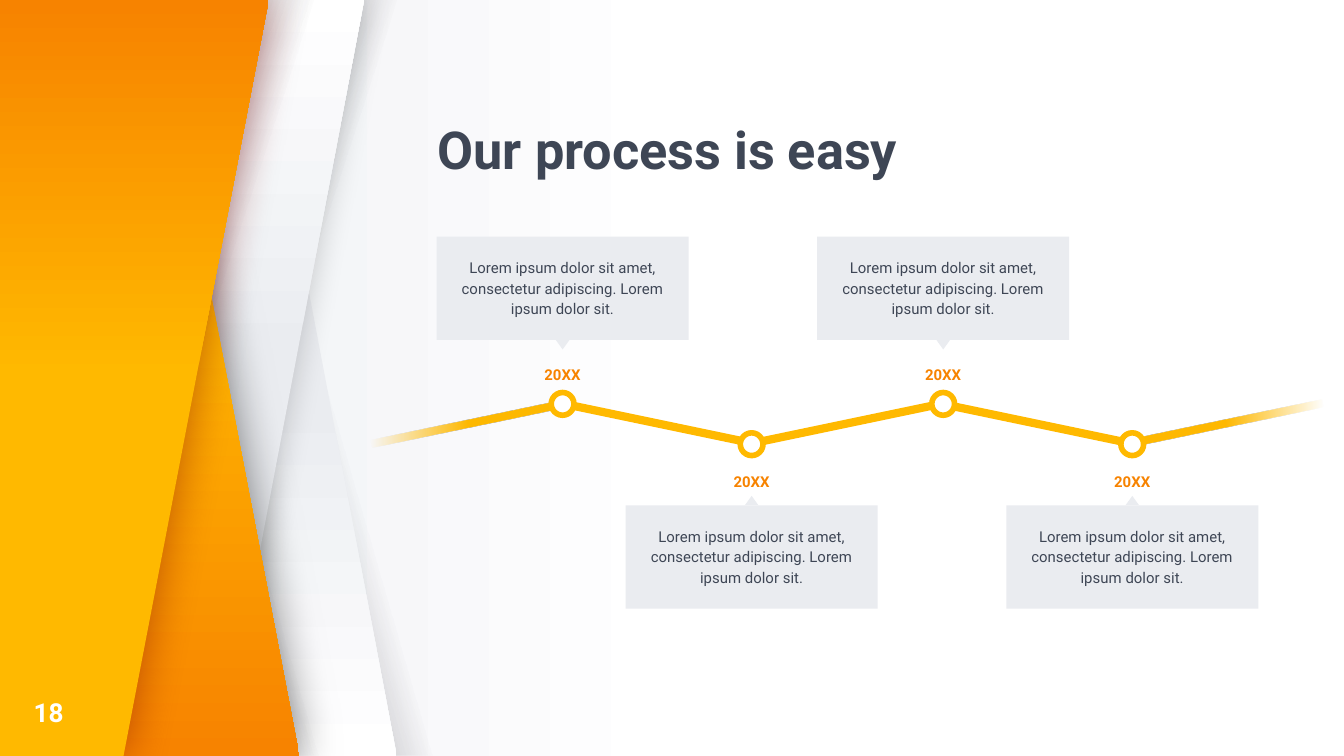
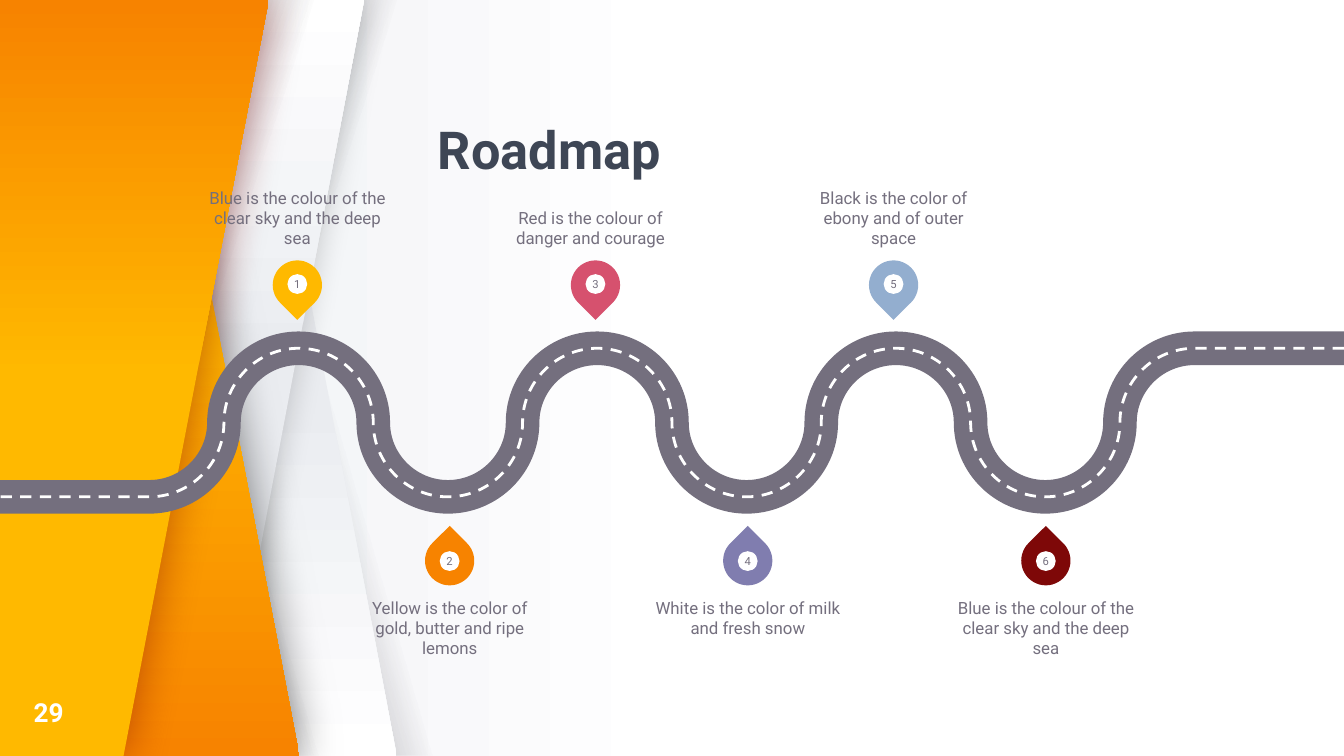
"""Build a timeline slide and a roadmap slide that share one folded-paper design."""
import math
from dataclasses import dataclass
from typing import Optional

from lxml import etree
from pptx import Presentation
from pptx import util as u
from pptx.dml import color as c
from pptx.enum import dml, shapes, text
from pptx.oxml import ns

WIDTH, HEIGHT = 720, 405
FONT = "Roboto"
WHITE, MIST, INK, SHADE = "FFFFFF", "EAECF0", "3E4655", "27252C"
AMBER, ORANGE, MAROON, ASPHALT = "FFB900", "F78300", "7E0808", "746F7E"
BLACK = "000000"
SHAPE = shapes.MSO_SHAPE
ALIGN = text.PP_ALIGN
ANCHOR = text.MSO_ANCHOR

Point = tuple[float, float]


@dataclass(frozen=True)
class Stop:
    position: float
    color: str
    alpha: int = 100


@dataclass(frozen=True)
class Gradient:
    first: Stop
    last: Stop
    angle: int


@dataclass(frozen=True)
class Glow:
    color: str
    alpha: int
    blur: float


@dataclass(frozen=True)
class Panel:
    left: float
    flipped: bool
    slant: float
    gradient: Gradient
    glow: Optional[Glow] = None
    outline: tuple[Point, ...] = ()


@dataclass(frozen=True)
class TextStyle:
    size: float
    color: str
    bold: bool = False
    align: ALIGN = ALIGN.CENTER
    anchor: ANCHOR = ANCHOR.TOP
    spacing: Optional[float] = None
    inset: float = 0


@dataclass(frozen=True)
class EventRow:
    center: float
    node: float
    date: float
    card: float
    pointer: float
    rotation: int


@dataclass(frozen=True)
class Milestone:
    color: str
    caption: str
    shift: float = 0


@dataclass(frozen=True)
class PinRow:
    center: float
    pin: float
    hole: float
    rotation: int
    caption: float
    anchor: ANCHOR


TITLE = TextStyle(28, INK, True, ALIGN.LEFT, ANCHOR.BOTTOM, 0.9)
PAGE_NUMBER = TextStyle(14, WHITE, True, ALIGN.LEFT, ANCHOR.MIDDLE)
DATE = TextStyle(8, ORANGE, True, spacing=1.15, inset=7.2)
CARD = TextStyle(8, INK, spacing=1.15, inset=7.2)
PIN_NUMBER = TextStyle(6, ASPHALT, anchor=ANCHOR.MIDDLE)

BACKGROUND = Gradient(Stop(50, WHITE), Stop(100, MIST), 180)
SHADE_RIGHT = Gradient(Stop(45, SHADE, 0), Stop(100, INK), 16)
SHADE_LEFT = Gradient(Stop(44, SHADE, 0), Stop(100, INK), 198)
PAPER_DOWN = Gradient(Stop(53, MIST), Stop(100, WHITE), 90)
PAPER_UP = Gradient(Stop(53, MIST), Stop(100, WHITE), 270)
ORANGE_DOWN = Gradient(Stop(37, AMBER), Stop(100, ORANGE), 90)
ORANGE_UP = Gradient(Stop(50, AMBER), Stop(100, ORANGE), 270)
FADE_LEFT = Gradient(Stop(50, AMBER), Stop(100, AMBER, 0), 192)
FADE_RIGHT = Gradient(Stop(50, AMBER), Stop(100, AMBER, 0), 12)

PANELS = (
    Panel(77, True, 0.753, SHADE_RIGHT),
    Panel(47, True, 0.463, PAPER_DOWN),
    Panel(47, False, 0.753, SHADE_LEFT),
    Panel(29.5, False, 0.463, PAPER_UP, Glow(BLACK, 20, 16.9)),
    Panel(15.8, True, 0.753, SHADE_RIGHT),
    Panel(0, False, 0, ORANGE_DOWN, Glow(BLACK, 50, 24.7),
          ((0, 0), (0, HEIGHT), (160.4, HEIGHT), (82.8, 0))),
    Panel(2.2, False, 0.753, SHADE_LEFT),
    Panel(0, False, 0, ORANGE_UP, Glow(MAROON, 50, 24.7),
          ((0, HEIGHT), (0, 0), (144, 0), (66.2, HEIGHT))),
)

EVENT_DATE = "20XX"
EVENT_BODY = "Lorem ipsum dolor sit amet, consectetur adipiscing. Lorem ipsum dolor sit."
EVENT_ROWS = (
    EventRow(301.4, 216.4, 187.2, 126.8, 182.2, 180),
    EventRow(402.7, 238, 244.8, 270.7, 265.7, 0),
)

MILESTONES = (
    Milestone(AMBER, "Blue is the colour of the clear sky and the deep sea"),
    Milestone(ORANGE, "Yellow is the color of gold, butter and ripe lemons"),
    Milestone("D6516E", "Red is the colour of danger and courage", -2.7),
    Milestone("807DAF", "White is the color of milk and fresh snow"),
    Milestone("93AECF", "Black is the color of ebony and of outer space"),
    Milestone(MAROON, "Blue is the colour of the clear sky and the deep sea"),
)
PIN_ROWS = (
    PinRow(159.3, 152.7, 152.2, 135, 91.1, ANCHOR.BOTTOM),
    PinRow(240.9, 300.4, 300.6, 315, 320, ANCHOR.TOP),
)
BEND, RISE, ROAD_MIDDLE, ROUNDNESS = 40, 39.8, 226.4, 0.55


def rgb(value: str) -> c.RGBColor:
    return c.RGBColor.from_string(value)


def set_alpha(color_element, percent: int) -> None:
    etree.SubElement(color_element, ns.qn("a:alpha")).set("val", str(percent * 1000))


def paint_gradient(fill, gradient: Gradient) -> None:
    fill.gradient()
    fill.gradient_angle = (360 - gradient.angle) % 360
    for target, stop in zip(fill.gradient_stops, (gradient.first, gradient.last)):
        target.position = stop.position / 100
        target.color.rgb = rgb(stop.color)


def paint(shape, fill: "str | Gradient | None", line: str = "", width: float = 0) -> None:
    shape.shadow.inherit = False
    if fill is None:
        shape.fill.background()
    elif isinstance(fill, Gradient):
        paint_gradient(shape.fill, fill)
        colors = list(shape._element.spPr.iter(ns.qn("a:srgbClr")))
        for element, stop in zip(colors, (fill.first, fill.last)):
            if stop.alpha < 100:
                set_alpha(element, stop.alpha)
    else:
        shape.fill.solid()
        shape.fill.fore_color.rgb = rgb(fill)
    if line:
        shape.line.color.rgb = rgb(line)
        shape.line.width = u.Pt(width)
    else:
        shape.line.fill.background()


def add_glow(shape, glow: Glow) -> None:
    effects = shape._element.spPr.find(ns.qn("a:effectLst"))
    outer = etree.SubElement(effects, ns.qn("a:outerShdw"))
    outer.set("blurRad", str(u.Pt(glow.blur)))
    color_element = etree.SubElement(outer, ns.qn("a:srgbClr"))
    color_element.set("val", glow.color)
    set_alpha(color_element, glow.alpha)


def write(shape, content: str, style: TextStyle) -> None:
    frame = shape.text_frame
    frame.word_wrap = True
    frame.auto_size = text.MSO_AUTO_SIZE.NONE
    frame.vertical_anchor = style.anchor
    frame.margin_left = frame.margin_right = u.Pt(style.inset)
    frame.margin_top = frame.margin_bottom = u.Pt(style.inset)
    frame.text = content
    paragraph = frame.paragraphs[0]
    paragraph.alignment = style.align
    paragraph.line_spacing = style.spacing
    paragraph.font.name = FONT
    paragraph.font.size = u.Pt(style.size)
    paragraph.font.bold = style.bold
    paragraph.font.color.rgb = rgb(style.color)


def add_label(slide, center: float, top: float, width: float, height: float,
              content: str, style: TextStyle) -> None:
    box = slide.shapes.add_textbox(
        u.Pt(center - width / 2), u.Pt(top), u.Pt(width), u.Pt(height))
    write(box, content, style)


def add_centered(slide, kind: SHAPE, x: float, y: float, width: float, height: float,
                 rotation: float = 0):
    shape = slide.shapes.add_shape(
        kind, u.Pt(x - width / 2), u.Pt(y - height / 2), u.Pt(width), u.Pt(height))
    shape.rotation = rotation
    return shape


def add_outline(slide, points: "list[Point] | tuple[Point, ...]", close: bool):
    corners = [(u.Pt(x), u.Pt(y)) for x, y in points]
    builder = slide.shapes.build_freeform(*corners[0], scale=1.0)
    builder.add_line_segments(corners[1:], close=close)
    return builder.convert_to_shape()


def add_panel(slide, panel: Panel) -> None:
    if panel.outline:
        shape = add_outline(slide, panel.outline, True)
    else:
        shape = slide.shapes.add_shape(
            SHAPE.PARALLELOGRAM, u.Pt(panel.left), 0, u.Pt(165.6), u.Pt(HEIGHT))
        shape.adjustments[0] = panel.slant
    if panel.flipped:
        shape._element.spPr.find(ns.qn("a:xfrm")).set("flipH", "1")
    paint(shape, panel.gradient)
    if panel.glow:
        add_glow(shape, panel.glow)


def add_base_slide(presentation, title: str, number: int):
    slide = presentation.slides.add_slide(presentation.slide_layouts[5])
    for panel in PANELS:
        add_panel(slide, panel)
    heading = slide.shapes.title
    heading.left, heading.top = u.Pt(234.5), u.Pt(66)
    heading.width, heading.height = u.Pt(430), u.Pt(31)
    write(heading, title, TITLE)
    add_label(slide, 32.4, 371.7, 28.8, 19.4, str(number), PAGE_NUMBER)
    return slide


def add_event(slide, x: float, row: EventRow) -> None:
    paint(add_centered(slide, SHAPE.RECTANGLE, x, row.card + 27.7, 135, 55.4), MIST)
    add_label(slide, x, row.card + 3.1, 128, 49, EVENT_BODY, CARD)
    paint(add_centered(slide, SHAPE.ISOSCELES_TRIANGLE, x, row.pointer + 2.5, 7.2, 5,
                       row.rotation), MIST)
    add_label(slide, x, row.date, 54.7, 21.6, EVENT_DATE, DATE)
    paint(add_centered(slide, SHAPE.OVAL, x, row.node, 12.2, 12.2), WHITE, AMBER, 3)


def add_timeline(slide) -> None:
    for index, fill in enumerate((FADE_LEFT, AMBER, AMBER, AMBER, FADE_RIGHT)):
        segment = add_centered(slide, SHAPE.ROUNDED_RECTANGLE, 251.3 + 101.2 * index,
                               226.9, 106.6, 4.4, 11.8 if index % 2 else -11.8)
        segment.adjustments[0] = 0.5 if fill == AMBER else 0
        paint(segment, fill)
    for index in range(4):
        step, side = divmod(index, 2)
        row = EVENT_ROWS[side]
        add_event(slide, row.center + 203.9 * step, row)


def road_points() -> list[Point]:
    nodes = [(BEND * (index + 2), ROAD_MIDDLE + RISE * round(math.cos(index * math.pi / 2)))
             for index in range(15)]
    points = [(0, nodes[0][1]), nodes[0]]
    for index, ((x, y), (end_x, end_y)) in enumerate(zip(nodes, nodes[1:])):
        run, climb = ROUNDNESS * BEND, ROUNDNESS * (end_y - y)
        if index % 2:
            points += [(x, y + climb), (end_x - run, end_y), (end_x, end_y)]
        else:
            points += [(x + run, y), (end_x, end_y - climb), (end_x, end_y)]
    return [(WIDTH, nodes[-1][1])] + points[::-1]


def add_road(slide, color: str, width: float):
    road = add_outline(slide, road_points(), False)
    lines = list(road._element.spPr.iter(ns.qn("a:lnTo")))[1:-1]
    for triple in zip(lines[::3], lines[1::3], lines[2::3]):
        curve = etree.Element(ns.qn("a:cubicBezTo"))
        triple[0].addprevious(curve)
        for line in triple:
            curve.append(line[0])
            line.getparent().remove(line)
    paint(road, None, color, width)
    return road


def add_milestone(slide, number: int, milestone: Milestone) -> None:
    step, side = divmod(number - 1, 2)
    row = PIN_ROWS[side]
    x = row.center + 159.7 * step
    pin = add_centered(slide, SHAPE.TEAR, x, row.pin, 26.4, 26.4, row.rotation)
    paint(pin, milestone.color)
    hole = add_centered(slide, SHAPE.OVAL, x, row.hole, 10.6, 10.6)
    paint(hole, WHITE)
    write(hole, str(number), PIN_NUMBER)
    add_label(slide, x + milestone.shift, row.caption, 101, 41.8, milestone.caption,
              TextStyle(9, ASPHALT, anchor=row.anchor))


def main() -> None:
    presentation = Presentation()
    presentation.slide_width, presentation.slide_height = u.Pt(WIDTH), u.Pt(HEIGHT)
    paint_gradient(presentation.slide_master.background.fill, BACKGROUND)
    add_timeline(add_base_slide(presentation, "Our process is easy", 18))
    roadmap = add_base_slide(presentation, "Roadmap", 29)
    add_road(roadmap, ASPHALT, 18)
    add_road(roadmap, WHITE, 1.5).line.dash_style = dml.MSO_LINE.DASH
    for number, milestone in enumerate(MILESTONES, 1):
        add_milestone(roadmap, number, milestone)
    presentation.save("out.pptx")


if __name__ == "__main__":
    main()
